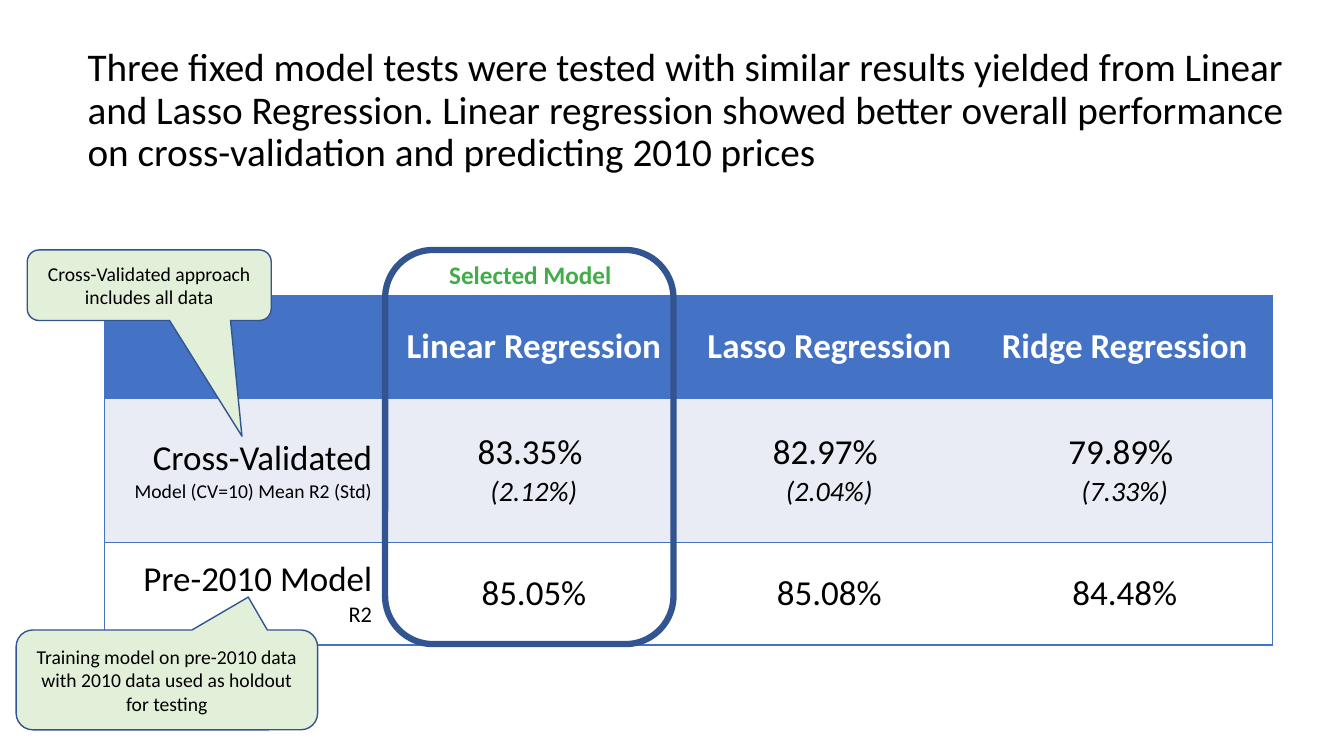
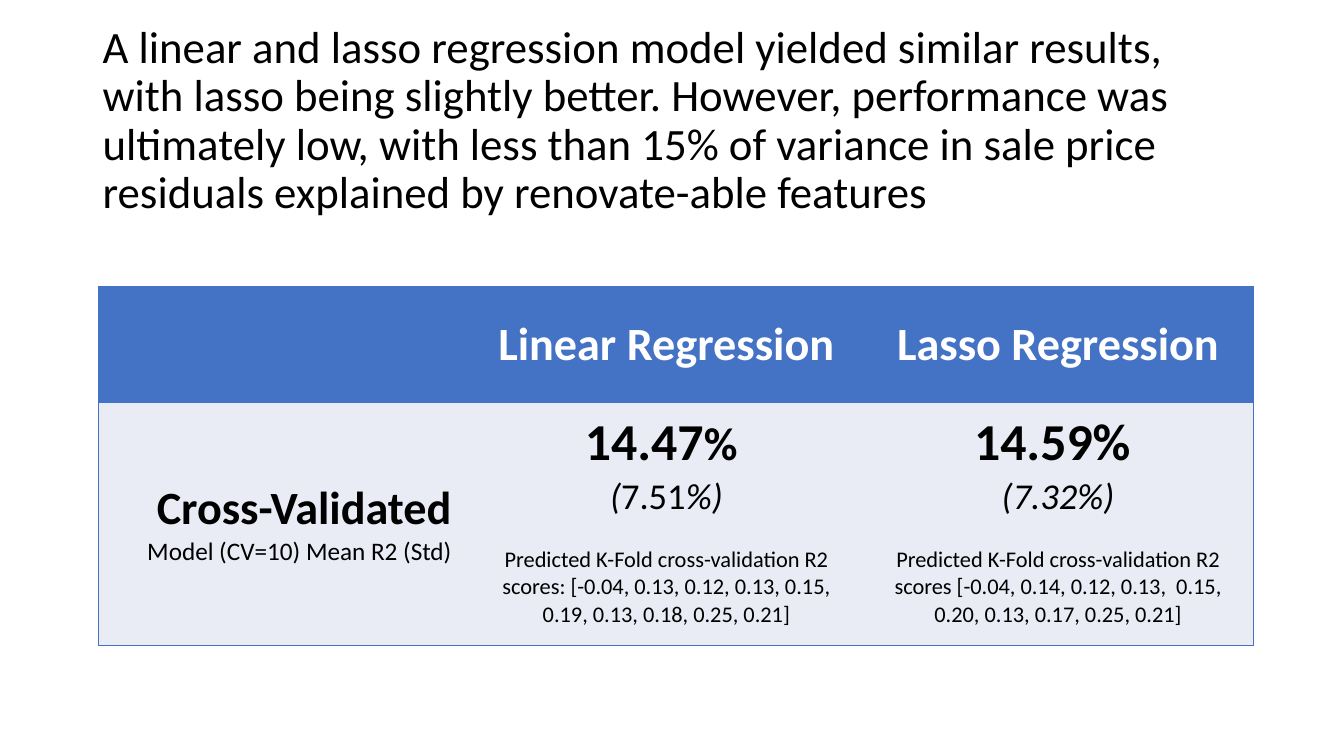
from lxml import etree
from pptx import Presentation
from pptx import util as u
from pptx.dml import color
from pptx.enum import shapes, text
from pptx.oxml import ns

FONT = "Calibri"
BLUE, NAVY, PALE = "4472C4", "325491", "E9EBF5"
MINT, GREEN = "E2F0D9", "41AD49"
BLACK, WHITE = "000000", "FFFFFF"
LEFT, MID, RIGHT = text.PP_ALIGN.LEFT, text.PP_ALIGN.CENTER, text.PP_ALIGN.RIGHT


def rgb(code):
    return color.RGBColor.from_string(code)


def write(frame, paras, size=18, ink=BLACK, bold=False, slant=False, align=MID, line=None):
    for i, runs in enumerate(paras):
        para = frame.paragraphs[0] if i == 0 else frame.add_paragraph()
        para.alignment = align
        if line:
            para.line_spacing = line
        for words, opts in [(runs, {})] if isinstance(runs, str) else runs:
            if "gap" in opts:
                para.space_before = u.Pt(opts["gap"])
            run = para.add_run()
            run.text = words
            font = run.font
            font.name = FONT
            font.size = u.Pt(opts.get("size", size))
            font.bold = opts.get("bold", bold)
            font.italic = opts.get("slant", slant)
            font.color.rgb = rgb(ink)


def edge(cell, side, code):
    line = etree.SubElement(cell._tc.get_or_add_tcPr(), ns.qn(f"a:ln{side}"), w=str(u.Pt(1)))
    if code:
        fill = etree.SubElement(line, ns.qn("a:solidFill"))
        etree.SubElement(fill, ns.qn("a:srgbClr"), val=code)
    else:
        etree.SubElement(line, ns.qn("a:noFill"))


class Deck:
    def __init__(self):
        self.file = Presentation()
        self.file.slide_width = u.Inches(13.33)
        self.file.slide_height = u.Inches(7.5)
        self.slide = None

    def page(self):
        self.slide = self.file.slides.add_slide(self.file.slide_layouts[6])

    def label(self, box, words, wrap=True, **fmt):
        frame = self.slide.shapes.add_textbox(*map(u.Inches, box)).text_frame
        frame.word_wrap = wrap
        frame.vertical_anchor = text.MSO_ANCHOR.MIDDLE
        write(frame, [words], **fmt)

    def title(self, box, words, size):
        self.label(box, words, size=size, align=LEFT, line=0.9)

    def shape(self, kind, box, fill=None, width=1):
        shape = self.slide.shapes.add_shape(kind, *map(u.Inches, box))
        shape.shadow.inherit = False
        if fill:
            shape.fill.solid()
            shape.fill.fore_color.rgb = rgb(fill)
        else:
            shape.fill.background()
        shape.line.color.rgb = rgb(NAVY)
        shape.line.width = u.Pt(width)
        return shape

    def callout(self, box, tip, words):
        shape = self.shape(shapes.MSO_SHAPE.ROUNDED_RECTANGULAR_CALLOUT, box, MINT)
        shape.adjustments[0], shape.adjustments[1] = tip
        frame = shape.text_frame
        frame.word_wrap = True
        frame.vertical_anchor = text.MSO_ANCHOR.MIDDLE
        write(frame, [words], size=14)

    def table(self, spot, cols, rows, cells, size, pad, top=False):
        box = (*spot, sum(cols), sum(rows))
        table = self.slide.shapes.add_table(len(rows), len(cols), *map(u.Inches, box)).table
        table.first_row = table.horz_banding = False
        for col, width in zip(table.columns, cols):
            col.width = u.Inches(width)
        for row, height in zip(table.rows, rows):
            row.height = u.Inches(height)
        for r, line in enumerate(cells):
            for c, paras in enumerate(line):
                cell = table.cell(r, c)
                edge(cell, "L", BLUE if c == 0 else None)
                edge(cell, "R", BLUE if c == len(cols) - 1 else None)
                edge(cell, "T", BLUE)
                edge(cell, "B", BLUE)
                cell.fill.solid()
                cell.fill.fore_color.rgb = rgb((BLUE, PALE, WHITE)[r])
                cell.margin_left = cell.margin_right = u.Inches(pad)
                cell.margin_top = cell.margin_bottom = u.Inches(pad / 2)
                high = top and r and c
                cell.vertical_anchor = text.MSO_ANCHOR.TOP if high else text.MSO_ANCHOR.MIDDLE
                write(cell.text_frame, paras, size=size, bold=r == 0,
                      ink=BLACK if r else WHITE, align=MID if c else RIGHT)


def score(mean, dev):
    return [mean, [(dev, {"size": 20, "slant": True})]]


def models(deck):
    deck.page()
    deck.table((1.04, 2.93), [2.79] + [2.93] * 3, [1.02, 1.43, 1.02], [
        [[], ["Linear Regression"], ["Lasso Regression"], ["Ridge Regression"]],
        [[[("Cross-Validated ", {}), ("Model (CV=10) Mean R2 (Std)", {"size": 14})]],
         score("83.35% ", "(2.12%)"), score("82.97% ", "(2.04%)"), score("79.89% ", "(7.33%)")],
        [[[("Pre-2010 Model ", {}), ("R2", {"size": 16})]],
         ["85.05%"], ["85.08%"], ["84.48%"]],
    ], size=25, pad=0.14)
    deck.shape(shapes.MSO_SHAPE.ROUNDED_RECTANGLE, (3.82, 2.48, 2.86, 3.91), width=4.5)
    deck.label((4.35, 2.52, 1.82, 0.4), "Selected Model", wrap=False, ink=GREEN, bold=True)
    deck.title((0.77, 0.38, 12.17, 1.45),
               "Three fixed model tests were tested with similar results yielded from Linear and "
               "Lasso Regression. Linear regression showed better overall performance on "
               "cross-validation and predicting 2010 prices", 28)
    deck.callout((0.27, 2.48, 2.42, 0.7), (0.38, 2.14),
                 "Cross-Validated approach includes all data")
    deck.callout((0.16, 6.25, 2.99, 0.99), (0.27, -0.83),
                 "Training model on pre-2010 data with 2010 data used as holdout for testing")


def folds(mean, dev, nums):
    note = f"Predicted K-Fold cross-validation R2 {nums}"
    return [mean, dev, [(note, {"size": 16, "gap": 19.5})]]


def prices(deck):
    big = {"size": 37, "bold": True}
    small = {"size": 26, "slant": True}
    deck.page()
    deck.title((0.92, 0.48, 11.5, 1.45),
               "A linear and lasso regression model yielded similar results, with lasso being "
               "slightly better. However, performance was ultimately low, with less than 15% of "
               "variance in sale price residuals explained by renovate-able features", 32)
    deck.table((0.98, 2.84), [3.68, 3.9, 3.87], [1.15, 2.41], [
        [[], ["Linear Regression"], ["Lasso Regression"]],
        [[[("Cross-Validated ", {"bold": True}), ("Model (CV=10) Mean R2 (Std)", {"size": 18})]],
         folds([("14.47", big), ("% ", {"bold": True})],
               [("(", small), ("7.51", {"size": 26}), ("%)", small)],
               "scores: [-0.04, 0.13, 0.12, 0.13, 0.15, 0.19, 0.13, 0.18, 0.25, 0.21]"),
         folds([("14.59% ", big)], [("(7.32%)", small)],
               "scores [-0.04, 0.14, 0.12, 0.13,  0.15, 0.20, 0.13, 0.17, 0.25, 0.21]")],
    ], size=33, pad=0.18, top=True)


def main():
    deck = Deck()
    models(deck)
    prices(deck)
    deck.file.save("out.pptx")


if __name__ == "__main__":
    main()
